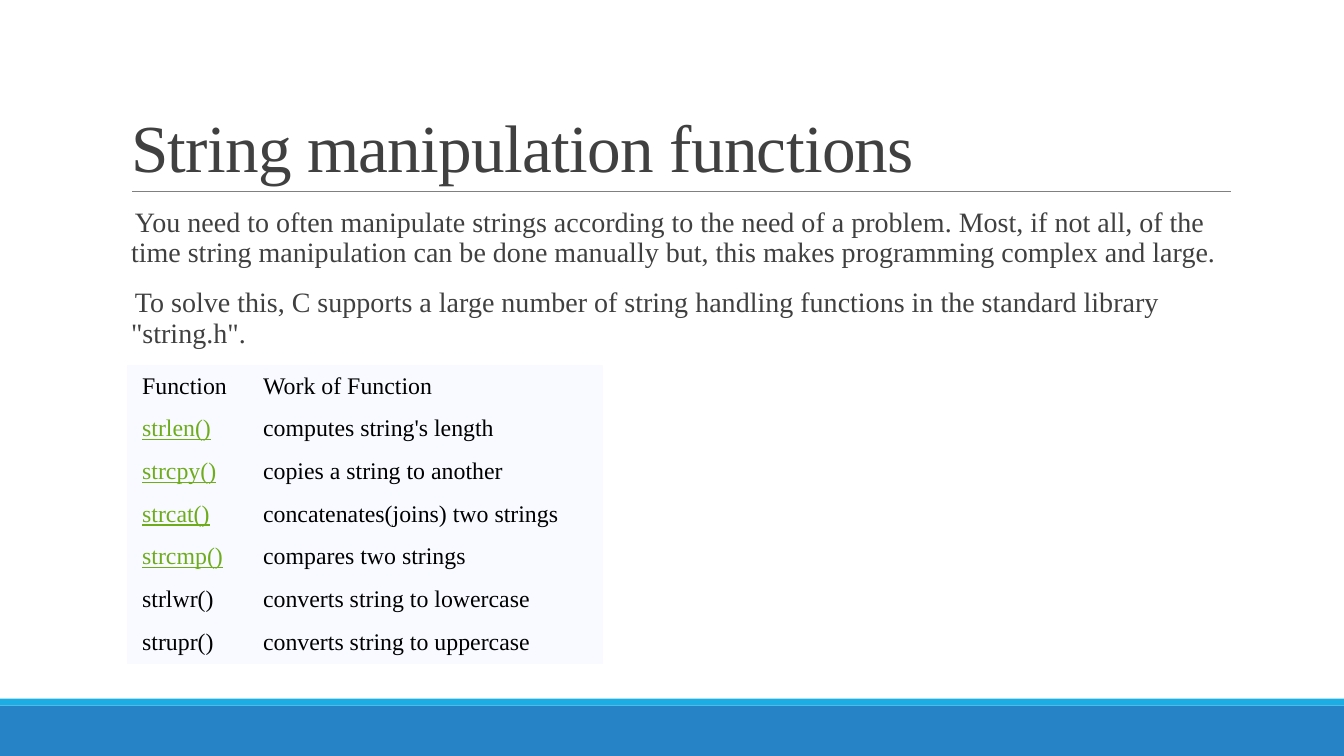
from lxml.etree import SubElement
from pptx import Presentation
from pptx.dml.color import RGBColor
from pptx.enum.shapes import MSO_CONNECTOR as Connector, MSO_SHAPE as Preset
from pptx.enum.text import MSO_ANCHOR as Anchor, MSO_AUTO_SIZE as AutoSize, PP_ALIGN as Align
from pptx.oxml.ns import qn
from pptx.util import Inches, Pt

NO_TABLE_STYLE = "{2D5ABB26-0587-4C30-8999-92F81FD0307C}"


def rgb(hex_string):
    """Turn a hex string into a colour."""
    return RGBColor.from_string(hex_string)


class Deck:
    """Hold the style and the current slide, on a grid of 100 columns by 100 rows."""

    FONT = "Times New Roman"
    TEXT, CELL_TEXT, LINK = "404040", "000000", "6EAC1C"
    BLUE, CYAN, RULE, CELL = "2683C6", "1CADE4", "808080", "F8FAFF"

    def __init__(self):
        """Start a widescreen presentation with one title-only slide."""
        self.prs = Presentation()
        self.prs.slide_width, self.prs.slide_height = Inches(13.33), Inches(7.5)
        self.slide = self.prs.slides.add_slide(self.prs.slide_layouts[5])

    def x(self, columns):
        """Convert columns to a length."""
        return round(self.prs.slide_width * columns / 100)

    def y(self, rows):
        """Convert rows to a length."""
        return round(self.prs.slide_height * rows / 100)

    def box(self, left, top, width, height):
        """Convert a grid rectangle to lengths."""
        return self.x(left), self.y(top), self.x(width), self.y(height)

    def format_runs(self, paragraph, size, color, underline=False):
        """Apply font, size and colour to the runs of a paragraph."""
        for run in paragraph.runs:
            font = run.font
            font.name, font.size, font.underline = self.FONT, Pt(size), underline
            font.color.rgb = rgb(color)

    def band(self, top, height, color):
        """Draw a full-width band."""
        band = self.slide.shapes.add_shape(Preset.RECTANGLE, *self.box(0, top, 100, height))
        band.shadow.inherit = False
        band.fill.solid()
        band.fill.fore_color.rgb = rgb(color)
        band.line.fill.background()

    def rule(self, start, end, row):
        """Draw a thin horizontal line."""
        rule = self.slide.shapes.add_connector(
            Connector.STRAIGHT, self.x(start), self.y(row), self.x(end), self.y(row))
        rule.line.color.rgb = rgb(self.RULE)
        rule.line.width = Pt(0.5)
        SubElement(rule._element.spPr, qn("a:effectLst"))

    def title(self, text, *place):
        """Fill and place the title."""
        heading = self.slide.shapes.title
        heading.left, heading.top, heading.width, heading.height = self.box(*place)
        frame = heading.text_frame
        frame.text = text
        frame.word_wrap, frame.auto_size = True, AutoSize.NONE
        frame.vertical_anchor = Anchor.BOTTOM
        paragraph = frame.paragraphs[0]
        paragraph.alignment, paragraph.line_spacing = Align.LEFT, 0.85
        self.format_runs(paragraph, 48, self.TEXT)
        paragraph.runs[0].font._element.set("spc", "-50")

    def body(self, texts, *place):
        """Write paragraphs with a blank bullet and a hanging indent."""
        frame = self.slide.shapes.add_textbox(*self.box(*place)).text_frame
        frame.word_wrap = True
        frame.margin_left = frame.margin_right = 0
        frame.text = "\n".join(texts)
        for paragraph in frame.paragraphs:
            paragraph.line_spacing = 0.9
            paragraph.space_before, paragraph.space_after = Pt(12), Pt(2)
            self.format_runs(paragraph, 20, self.TEXT)
            props = paragraph._p.get_or_add_pPr()
            props.set("marL", str(Inches(0.1)))
            props.set("indent", str(-Inches(0.1)))
            SubElement(SubElement(props, qn("a:buClr")), qn("a:srgbClr"), val=self.CYAN)
            SubElement(props, qn("a:buChar"), char=" ")

    def table(self, rows, linked, left, top, widths, row_height):
        """Draw a plain table; first-column names in linked look like links."""
        place = self.box(left, top, sum(widths), row_height * len(rows))
        graphic = self.slide.shapes.add_table(len(rows), len(widths), *place)
        table = graphic.table
        table.first_row = table.horz_banding = False
        graphic._element.find(".//" + qn("a:tableStyleId")).text = NO_TABLE_STYLE
        for column, width in zip(table.columns, widths):
            column.width = self.x(width)
        for r, row in enumerate(rows):
            for c, text in enumerate(row):
                self.cell(table.cell(r, c), text, text in linked)

    def cell(self, cell, text, is_link):
        """Fill one table cell."""
        cell.fill.solid()
        cell.fill.fore_color.rgb = rgb(self.CELL)
        cell.vertical_anchor = Anchor.MIDDLE
        cell.margin_left = cell.margin_right = Inches(0.15)
        cell.margin_top = cell.margin_bottom = Inches(0.07)
        cell.text_frame.text = text
        color = self.LINK if is_link else self.CELL_TEXT
        self.format_runs(cell.text_frame.paragraphs[0], 17, color, is_link)


FUNCTIONS = [
    ("Function", "Work of Function"),
    ("strlen()", "computes string's length"),
    ("strcpy()", "copies a string to another"),
    ("strcat()", "concatenates(joins) two strings"),
    ("strcmp()", "compares two strings"),
    ("strlwr()", "converts string to lowercase"),
    ("strupr()", "converts string to uppercase"),
]
LINKED = {"strlen()", "strcpy()", "strcat()", "strcmp()"}
INTRODUCTION = [
    "You need to often manipulate strings according to the need of a problem. Most, if not all, "
    "of the time string manipulation can be done manually but, this makes programming complex "
    "and large.",
    "To solve this, C supports a large number of string handling functions in the standard "
    'library "string.h".',
]
MARGIN, CONTENT_WIDTH = 9, 82.5

deck = Deck()
deck.band(93.33, 6.67, Deck.BLUE)
deck.band(92.4, 0.93, Deck.CYAN)
deck.rule(9.83, 91.6, 25.33)
deck.title("String manipulation functions", MARGIN, 4.13, CONTENT_WIDTH, 21.2)
deck.body(INTRODUCTION, MARGIN, 26.93, CONTENT_WIDTH, 58.67)
deck.table(FUNCTIONS, LINKED, 9.45, 48.27, (9, 26.4), 5.56)
deck.prs.save("out.pptx")
